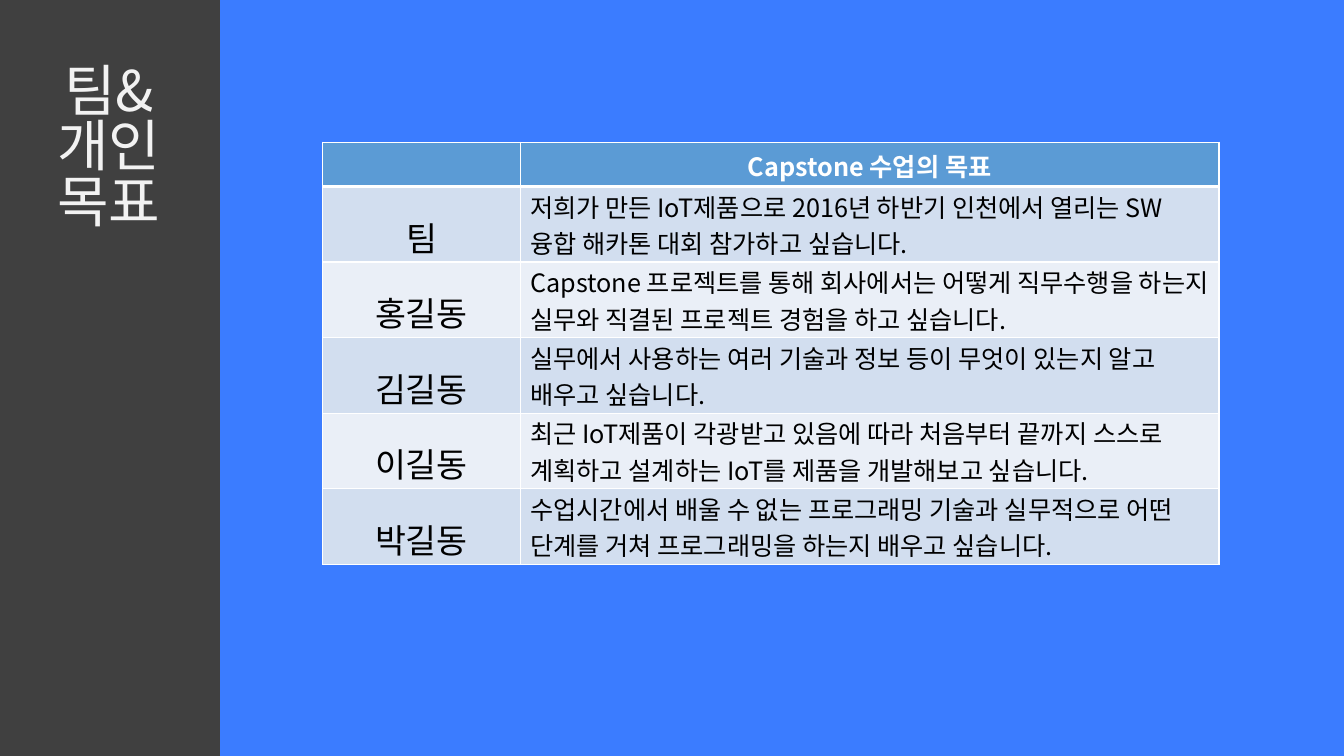
from lxml.etree import SubElement
from pptx import Presentation
from pptx.dml.color import RGBColor
from pptx.enum.shapes import MSO_SHAPE
from pptx.enum.text import MSO_ANCHOR, MSO_AUTO_SIZE, PP_ALIGN
from pptx.oxml.ns import qn
from pptx.util import Inches, Pt

BLUE = RGBColor(0x3B, 0x7C, 0xFF)
DARK = RGBColor(0x40, 0x40, 0x40)
PALE = RGBColor(0xF2, 0xF2, 0xF2)
WHITE = RGBColor(0xFF, 0xFF, 0xFF)
BLACK = RGBColor(0, 0, 0)
HEAD = RGBColor(0x5B, 0x9B, 0xD5)
BANDS = (RGBColor(0xD2, 0xDE, 0xEF), RGBColor(0xEA, 0xEF, 0xF7))
FONT = "Noto Sans CJK KR"

TITLE = "팀&\n개인\n목표"
GOALS = [
    ("", "Capstone 수업의 목표"),
    ("팀", "저희가 만든 IoT제품으로 2016년 하반기 인천에서 열리는 SW융합 해카톤 대회 참가하고 싶습니다."),
    ("홍길동", "Capstone 프로젝트를 통해 회사에서는 어떻게 직무수행을 하는지 실무와 직결된 프로젝트 경험을 하고 싶습니다."),
    ("김길동", "실무에서 사용하는 여러 기술과 정보 등이 무엇이 있는지 알고 배우고 싶습니다."),
    ("이길동", "최근 IoT제품이 각광받고 있음에 따라 처음부터 끝까지 스스로 계획하고 설계하는 IoT를 제품을 개발해보고 싶습니다."),
    ("박길동", "수업시간에서 배울 수 없는 프로그래밍 기술과 실무적으로 어떤 단계를 거쳐 프로그래밍을 하는지 배우고 싶습니다."),
]


def write(frame, text, size=18, color=BLACK, bold=False,
          align=PP_ALIGN.LEFT, space=None):
    """Fill a text frame, one paragraph per line."""
    for i, line in enumerate(text.split("\n")):
        para = frame.add_paragraph() if i else frame.paragraphs[0]
        para.alignment = align
        if space:
            para.line_spacing = space
        run = para.add_run()
        run.text = line
        font = run.font
        font.name, font.size, font.bold = FONT, Pt(size), bold
        font.color.rgb = color
        SubElement(run._r.get_or_add_rPr(), qn("a:ea"), typeface=FONT)


def edge(cell, base):
    """Draw white borders; base is the bottom width in points."""
    props = cell._tc.get_or_add_tcPr()
    for i, side in enumerate("LRTB"):
        width = base if side == "B" else 1
        line = props.makeelement(qn(f"a:ln{side}"), {"w": str(Pt(width))})
        fill = SubElement(line, qn("a:solidFill"))
        SubElement(fill, qn("a:srgbClr"), val=str(WHITE))
        props.insert(i, line)


class Deck:
    def __init__(self):
        self.prs = Presentation()
        self.prs.slide_width = Inches(13.33)
        self.prs.slide_height = Inches(7.5)
        self.slide = self.prs.slides.add_slide(self.prs.slide_layouts[6])
        fill = self.slide.background.fill
        fill.solid()
        fill.fore_color.rgb = BLUE

    def panel(self, box, color):
        shape = self.slide.shapes.add_shape(
            MSO_SHAPE.RECTANGLE, *map(Inches, box))
        shape.shadow.inherit = False
        shape.fill.solid()
        shape.fill.fore_color.rgb = color
        shape.line.fill.background()

    def label(self, box, text, **style):
        frame = self.slide.shapes.add_textbox(*map(Inches, box)).text_frame
        frame.word_wrap = False
        frame.auto_size = MSO_AUTO_SIZE.SHAPE_TO_FIT_TEXT
        frame.margin_top = Inches(0.1)
        write(frame, text, **style)

    def grid(self, box, rows, cols, tall):
        table = self.slide.shapes.add_table(
            len(rows), len(cols), *map(Inches, box)).table
        for col, width in zip(table.columns, cols):
            col.width = Inches(width)
        for r, texts in enumerate(rows):
            table.rows[r].height = Inches(tall if r else 0.44)
            for c, text in enumerate(texts):
                self.cell(table.cell(r, c), r, c, text)

    def cell(self, cell, r, c, text):
        cell.fill.solid()
        cell.fill.fore_color.rgb = BANDS[(r - 1) % 2] if r else HEAD
        cell.vertical_anchor = MSO_ANCHOR.MIDDLE
        edge(cell, 1 if r else 3)
        if r:
            cell.margin_top = cell.margin_bottom = 0
        if not text:
            return
        if r == 0:
            style = dict(color=WHITE, bold=True, align=PP_ALIGN.CENTER)
        elif c == 0:
            style = dict(size=24, align=PP_ALIGN.CENTER, space=1.5)
        else:
            style = {}
        write(cell.text_frame, text, **style)


def main():
    deck = Deck()
    # Side panel with title
    deck.panel((0, 0, 2.18, 7.5), DARK)
    deck.label((-0.02, 0.56, 2.2, 1.45), TITLE, size=40, color=PALE,
               align=PP_ALIGN.CENTER, space=0.83)
    # Table of goals
    deck.grid((3.2, 1.41, 8.89, 4.18), GOALS, (1.96, 6.93), 0.75)
    deck.prs.save("out.pptx")


if __name__ == "__main__":
    main()
